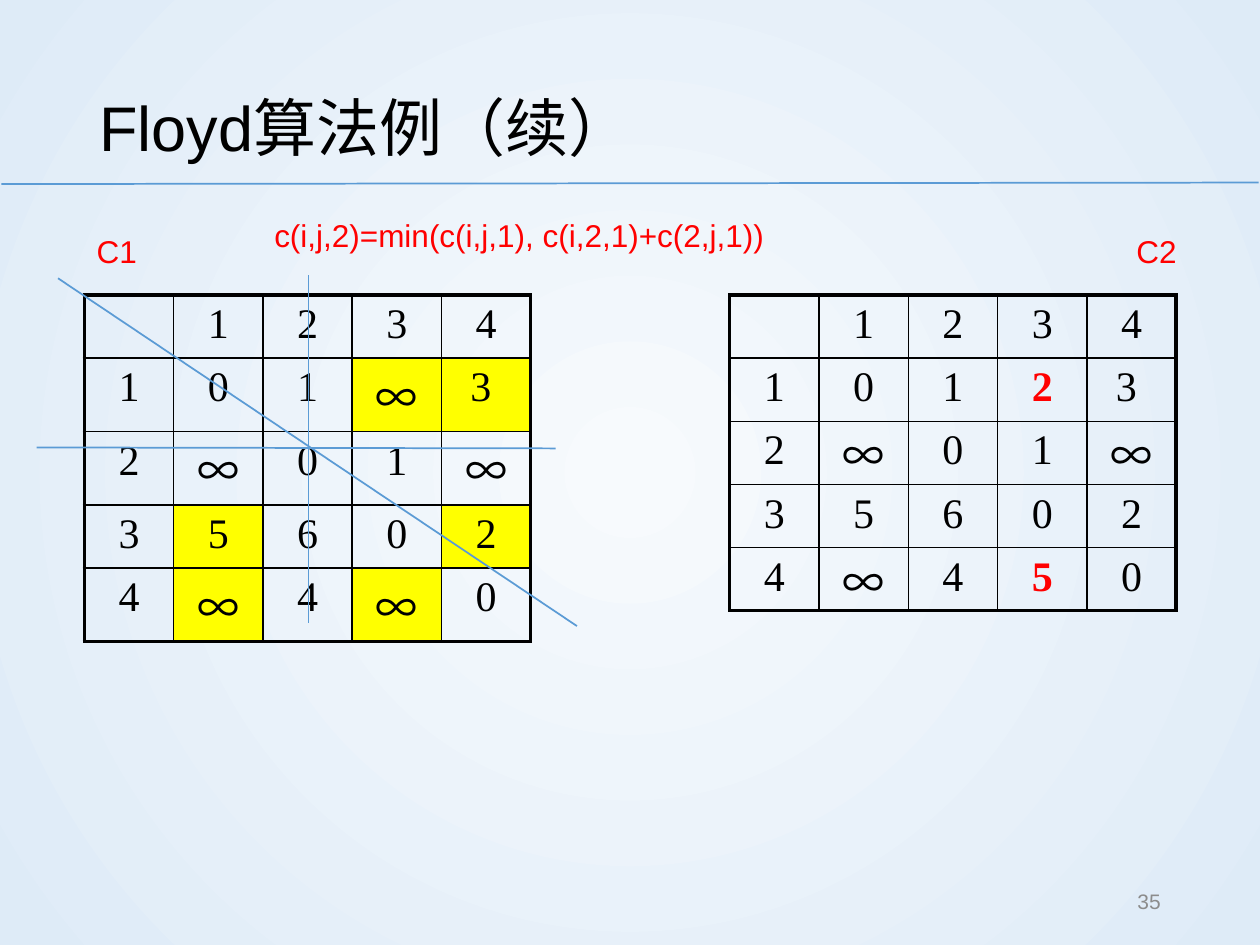
from lxml import etree
from pptx import Presentation
from pptx.dml.color import RGBColor
from pptx.enum.shapes import MSO_CONNECTOR
from pptx.enum.text import MSO_ANCHOR, PP_ALIGN
from pptx.oxml.ns import qn
from pptx.util import Cm, Pt

LINE = MSO_CONNECTOR.STRAIGHT
TOP, MIDDLE = MSO_ANCHOR.TOP, MSO_ANCHOR.MIDDLE
LEFT, CENTER, RIGHT = PP_ALIGN.LEFT, PP_ALIGN.CENTER, PP_ALIGN.RIGHT
BLACK = RGBColor(0x00, 0x00, 0x00)
RED = RGBColor(0xFF, 0x00, 0x00)
YELLOW = RGBColor(0xFF, 0xFF, 0x00)
BLUE = RGBColor(0x5B, 0x9B, 0xD5)
GRAY = RGBColor(0x8C, 0x8C, 0x8C)
PALE = RGBColor(0xF7, 0xFA, 0xFD)
SKY = RGBColor(0xDE, 0xEB, 0xF7)
SANS, SERIF, CJK = "Arial", "Times New Roman", "Noto Sans CJK SC"

prs = Presentation()
prs.slide_width, prs.slide_height = Cm(25.4), Cm(19.05)
slide = prs.slides.add_slide(prs.slide_layouts[6])
shapes = slide.shapes


def add_run(para, text, size, font, color, bold=False):
    run = para.add_run()
    run.text = text
    run.font.size = Pt(size)
    run.font.name = font
    run.font.bold = bold
    run.font.color.rgb = color
    east = etree.SubElement(run.font._element, qn("a:ea"))
    east.set("typeface", CJK)


def add_border(cell, side, width):
    line = etree.SubElement(cell._tc.get_or_add_tcPr(), qn("a:ln" + side))
    line.set("w", str(Pt(width)))
    solid = etree.SubElement(line, qn("a:solidFill"))
    etree.SubElement(solid, qn("a:srgbClr")).set("val", str(BLACK))


# Radial background
fill = slide.background.fill
fill.gradient()
for stop, color in zip(fill.gradient_stops, (PALE, SKY)):
    stop.color.rgb = color
grad = slide.element.find(".//" + qn("a:gradFill"))
grad.remove(grad.find(qn("a:lin")))
radial = etree.SubElement(grad, qn("a:path"))
radial.set("path", "circle")
focus = etree.SubElement(radial, qn("a:fillToRect"))
for side in "ltrb":
    focus.set(side, "50000")

# Title, labels, formula and page number
texts = [
    ("Floyd算法例（续）", 1.75, 1.02, 21.9, 2.74, 36, BLACK, LEFT, MIDDLE, 1.2),
    ("C1", 1.7, 4.55, 1.9, 1.02, 18, RED, LEFT, TOP, 1),
    ("c(i,j,2)=min(c(i,j,1), c(i,2,1)+c(2,j,1))",
     5.28, 4.24, 19.25, 1.02, 18, RED, LEFT, TOP, 1),
    ("C2", 22.66, 4.55, 1.9, 1.02, 18, RED, LEFT, TOP, 1),
    ("35", 17.93, 17.65, 5.72, 1.02, 12, GRAY, RIGHT, MIDDLE, 1),
]
for text, x, y, w, h, size, color, align, anchor, space in texts:
    frame = shapes.add_textbox(Cm(x), Cm(y), Cm(w), Cm(h)).text_frame
    frame.word_wrap = True
    frame.vertical_anchor = anchor
    para = frame.paragraphs[0]
    para.alignment = align
    para.line_spacing = space
    add_run(para, text, size, SANS, color)

# Cost matrices: x, row heights, values, yellow cells, red cells
C1 = [["", "1", "2", "3", "4"],
      ["1", "0", "1", "∞", "3 "],
      ["2", "∞", "0", "1", "∞"],
      ["3", "5", "6", "0", "2"],
      ["4", "∞", "4", "∞", "0"]]
C2 = [list(row) for row in C1]
C2[1][3], C2[4][3] = "2", "5"
COUNT = len(C1)
grids = [
    (1.7, [1.19, 1.48, 1.48, 1.19, 1.48], C1,
     {(1, 3), (1, 4), (3, 1), (3, 4), (4, 1), (4, 3)}, set()),
    (14.71, [1.27] * COUNT, C2, set(), {(1, 3), (4, 3)}),
]
for x, highs, rows, marks, news in grids:
    table = shapes.add_table(COUNT, COUNT, Cm(x), Cm(5.95),
                             Cm(1.8 * COUNT), Cm(sum(highs))).table
    table.first_row = table.horz_banding = False
    for i, row in enumerate(rows):
        table.rows[i].height = Cm(highs[i])
        table.columns[i].width = Cm(1.8)
        for j, value in enumerate(row):
            cell = table.cell(i, j)
            edges = {"L": j == 0, "R": j == COUNT - 1,
                     "T": i == 0, "B": i == COUNT - 1}
            for side, outer in edges.items():
                add_border(cell, side, 2.25 if outer else 1)
            if (i, j) in marks:
                cell.fill.solid()
                cell.fill.fore_color.rgb = YELLOW
            else:
                cell.fill.background()
            if not value:
                continue
            tall = value == "∞"
            if tall and highs[i] < 1.48:
                # Tight margins keep the tall glyph within its row
                cell.margin_top, cell.margin_bottom = Cm(0.04), Cm(0)
            para = cell.text_frame.paragraphs[0]
            para.alignment = CENTER
            new = (i, j) in news
            add_run(para, value, 24, CJK if tall else SERIF,
                    RED if new else BLACK, new)

# Title rule, then the row, column and diagonal strokes over C1
strokes = [
    (0.03, 3.71, 25.37, 3.68),
    (0.74, 9.02, 11.2, 9.04),
    (6.22, 12.55, 6.22, 5.54),
    (1.17, 5.61, 11.63, 12.62),
]
for ends in strokes:
    stroke = shapes.add_connector(LINE, *[Cm(end) for end in ends])
    stroke.line.color.rgb = BLUE
    stroke.line.width = Pt(1)
    etree.SubElement(stroke._element.spPr, qn("a:effectLst"))

prs.save("out.pptx")
